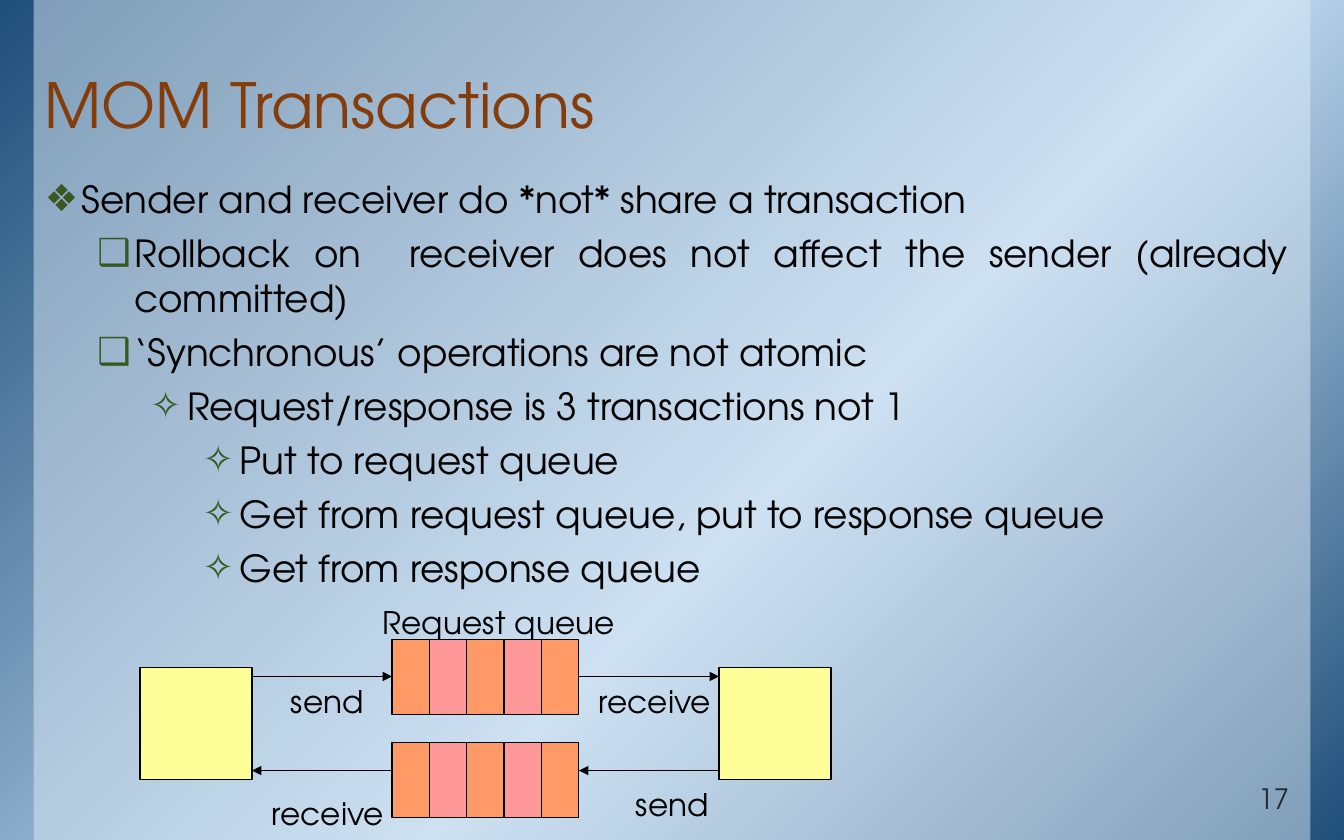
from typing import NamedTuple

from lxml.etree import SubElement
from pptx import Presentation
from pptx.dml.color import RGBColor
from pptx.enum.shapes import MSO_CONNECTOR, MSO_SHAPE
from pptx.enum.text import MSO_ANCHOR, MSO_AUTO_SIZE, PP_ALIGN
from pptx.oxml import parse_xml
from pptx.oxml.ns import nsdecls, qn
from pptx.util import Inches, Pt

FONT = "TeX Gyre Adventor"
COLORS = {
    "edge": "1F4E79",
    "glow": "BDD7EE",
    "panel": "DEEBF7",
    "title": "843C0B",
    "bullet": "385723",
    "number": "222A35",
    "black": "000000",
    "orange": "FF9966",
    "pink": "FF9999",
    "yellow": "FFFF99",
}
CELL_WIDTH, CELL_HEIGHT, CELL_COUNT = 1 / 3, 0.67, 5


class Bullet(NamedTuple):
    level: int
    text: str


class Block(NamedTuple):
    left: float
    top: float
    width: float
    height: float
    color: str


class Label(NamedTuple):
    left: float
    top: float
    width: float
    text: str


class Arrow(NamedTuple):
    start: float
    end: float
    y: float
    weight: float


BULLETS = [
    Bullet(0, "Sender and receiver do *not* share a transaction"),
    Bullet(1, "Rollback on  receiver does not affect the sender (already committed)"),
    Bullet(1, "‘Synchronous’ operations are not atomic"),
    Bullet(2, "Request/response is 3 transactions not 1"),
    Bullet(3, "Put to request queue"),
    Bullet(3, "Get from request queue, put to response queue"),
    Bullet(3, "Get from response queue"),
]
BULLET_SIGNS = "❖❑✧✧"
CLIENTS = [Block(left, 5.96, 1, 1, "yellow") for left in (1.25, 6.42)]
QUEUE_TOPS = [5.71, 6.63]
ARROWS = [
    Arrow(2.25, 3.5, 6.04, 1),
    Arrow(5.17, 6.42, 6.04, 1),
    Arrow(6.42, 5.17, 6.88, 0.75),
    Arrow(3.5, 2.25, 6.88, 0.75),
]
LABELS = [
    Label(3.32, 5.34, 2.27, "Request queue"),
    Label(2.5, 6.04, 0.86, "send"),
    Label(5.25, 6.04, 1.23, "receive"),
    Label(5.58, 6.96, 0.86, "send"),
    Label(2.33, 7.04, 1.23, "receive"),
]


def rgb(name: str) -> RGBColor:
    return RGBColor.from_string(COLORS[name])


def style(paragraph, size: float, color: str) -> None:
    paragraph.font.name = FONT
    paragraph.font.size = Pt(size)
    paragraph.font.color.rgb = rgb(color)


def place(shape, left: float, top: float, width: float, height: float) -> None:
    shape.left, shape.top = Inches(left), Inches(top)
    shape.width, shape.height = Inches(width), Inches(height)


def set_insets(frame) -> None:
    frame.margin_left = frame.margin_right = Inches(0.13)
    frame.margin_top = frame.margin_bottom = Inches(0.07)


def add_block(page, block: Block):
    shape = page.shapes.add_shape(
        MSO_SHAPE.RECTANGLE, Inches(block.left), Inches(block.top),
        Inches(block.width), Inches(block.height))
    shape.shadow.inherit = False
    shape.fill.solid()
    shape.fill.fore_color.rgb = rgb(block.color)
    shape.line.color.rgb = rgb("black")
    shape.line.width = Pt(1)
    return shape


def add_backdrop(page) -> None:
    backdrop = add_block(page, Block(0, 0, 12, 7.5, "edge"))
    panel = add_block(page, Block(0.3, 0, 11.4, 7.5, "panel"))
    stops = "".join(
        f'<a:gs pos="{position * 1000}"><a:srgbClr val="{COLORS[name]}"/></a:gs>'
        for position, name in ((0, "edge"), (58, "glow"), (100, "edge")))
    gradient = parse_xml(
        f'<a:gradFill {nsdecls("a")} rotWithShape="1"><a:gsLst>{stops}</a:gsLst>'
        '<a:lin ang="2700000" scaled="0"/></a:gradFill>')
    properties = backdrop._element.spPr
    properties.replace(properties.find(qn("a:solidFill")), gradient)
    panel_color = panel._element.spPr.find(qn("a:solidFill")).find(qn("a:srgbClr"))
    SubElement(panel_color, qn("a:alpha"), val="50000")
    for index, shape in enumerate((backdrop, panel), start=2):
        shape.line.fill.background()
        page.shapes._spTree.insert(index, shape._element)


def add_title(page, text: str) -> None:
    title = page.shapes.title
    place(title, 0.27, 0.08, 11.36, 1.25)
    frame = title.text_frame
    set_insets(frame)
    frame.auto_size = MSO_AUTO_SIZE.NONE
    frame.vertical_anchor = MSO_ANCHOR.BOTTOM
    paragraph = frame.paragraphs[0]
    paragraph.text = text
    paragraph.alignment = PP_ALIGN.LEFT
    paragraph.line_spacing = 0.85
    style(paragraph, 40, "title")


def add_bullets(page, bullets: list[Bullet]) -> None:
    body = page.placeholders[1]
    place(body, 0.27, 1.5, 11.36, 5.33)
    frame = body.text_frame
    set_insets(frame)
    frame.auto_size = MSO_AUTO_SIZE.NONE
    for index, bullet in enumerate(bullets):
        paragraph = frame.add_paragraph() if index else frame.paragraphs[0]
        paragraph.text = bullet.text
        paragraph.level = bullet.level
        paragraph.alignment = PP_ALIGN.JUSTIFY
        paragraph.space_before, paragraph.space_after = Pt(0), Pt(6)
        properties = paragraph._p.get_or_add_pPr()
        properties.set("marL", str(Inches(0.33 + 0.47 * bullet.level)))
        properties.set("indent", str(Inches(-0.33)))
        bullet_color = SubElement(properties, qn("a:buClr"))
        SubElement(bullet_color, qn("a:srgbClr"), val=COLORS["bullet"])
        SubElement(properties, qn("a:buChar"), char=BULLET_SIGNS[bullet.level])
        style(paragraph, 24, "black")


def add_page_number(page, number: str) -> None:
    box = page.shapes.add_textbox(Inches(10.55), Inches(7), Inches(1.09), Inches(0.35))
    frame = box.text_frame
    set_insets(frame)
    frame.word_wrap = True
    frame.vertical_anchor = MSO_ANCHOR.BOTTOM
    paragraph = frame.paragraphs[0]
    paragraph.text = number
    paragraph.alignment = PP_ALIGN.RIGHT
    style(paragraph, 18, "number")


def add_queue(page, top: float) -> None:
    for index in range(CELL_COUNT):
        color = "pink" if index % 2 else "orange"
        add_block(page, Block(3.5 + index * CELL_WIDTH, top, CELL_WIDTH, CELL_HEIGHT, color))


def add_arrow(page, arrow: Arrow) -> None:
    connector = page.shapes.add_connector(
        MSO_CONNECTOR.STRAIGHT, Inches(arrow.start), Inches(arrow.y),
        Inches(arrow.end), Inches(arrow.y))
    connector.line.color.rgb = rgb("black")
    connector.line.width = Pt(arrow.weight)
    SubElement(connector.line._get_or_add_ln(), qn("a:tailEnd"), type="triangle")
    SubElement(connector._element.spPr, qn("a:effectLst"))


def add_label(page, label: Label) -> None:
    box = page.shapes.add_textbox(
        Inches(label.left), Inches(label.top), Inches(label.width), Inches(0.44))
    frame = box.text_frame
    frame.word_wrap = False
    frame.auto_size = MSO_AUTO_SIZE.SHAPE_TO_FIT_TEXT
    frame.paragraphs[0].text = label.text
    style(frame.paragraphs[0], 20, "black")


def main() -> None:
    deck = Presentation()
    deck.slide_width, deck.slide_height = Inches(12), Inches(7.5)
    page = deck.slides.add_slide(deck.slide_layouts[1])
    add_backdrop(page)
    add_title(page, "MOM Transactions")
    add_bullets(page, BULLETS)
    add_page_number(page, "17")
    for client in CLIENTS:
        add_block(page, client)
    for top in QUEUE_TOPS:
        add_queue(page, top)
    for arrow in ARROWS:
        add_arrow(page, arrow)
    for label in LABELS:
        add_label(page, label)
    deck.save("out.pptx")


if __name__ == "__main__":
    main()
